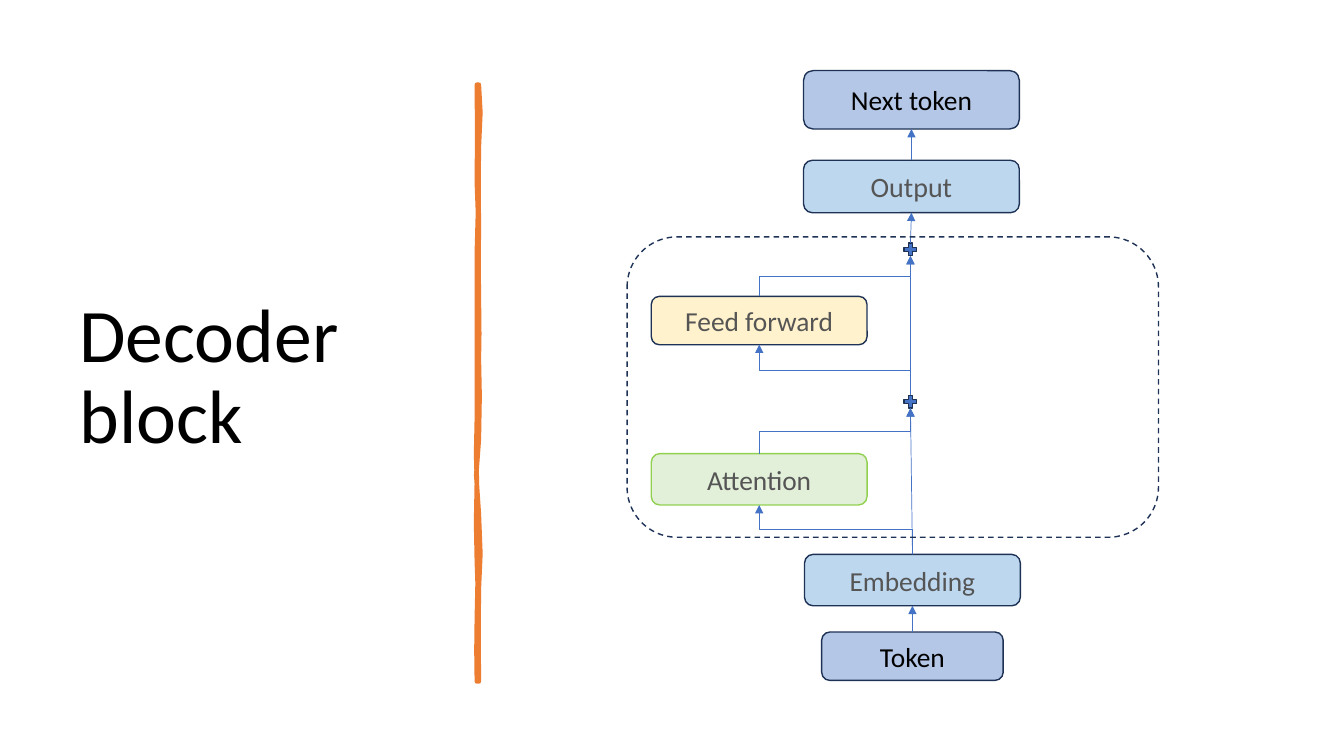
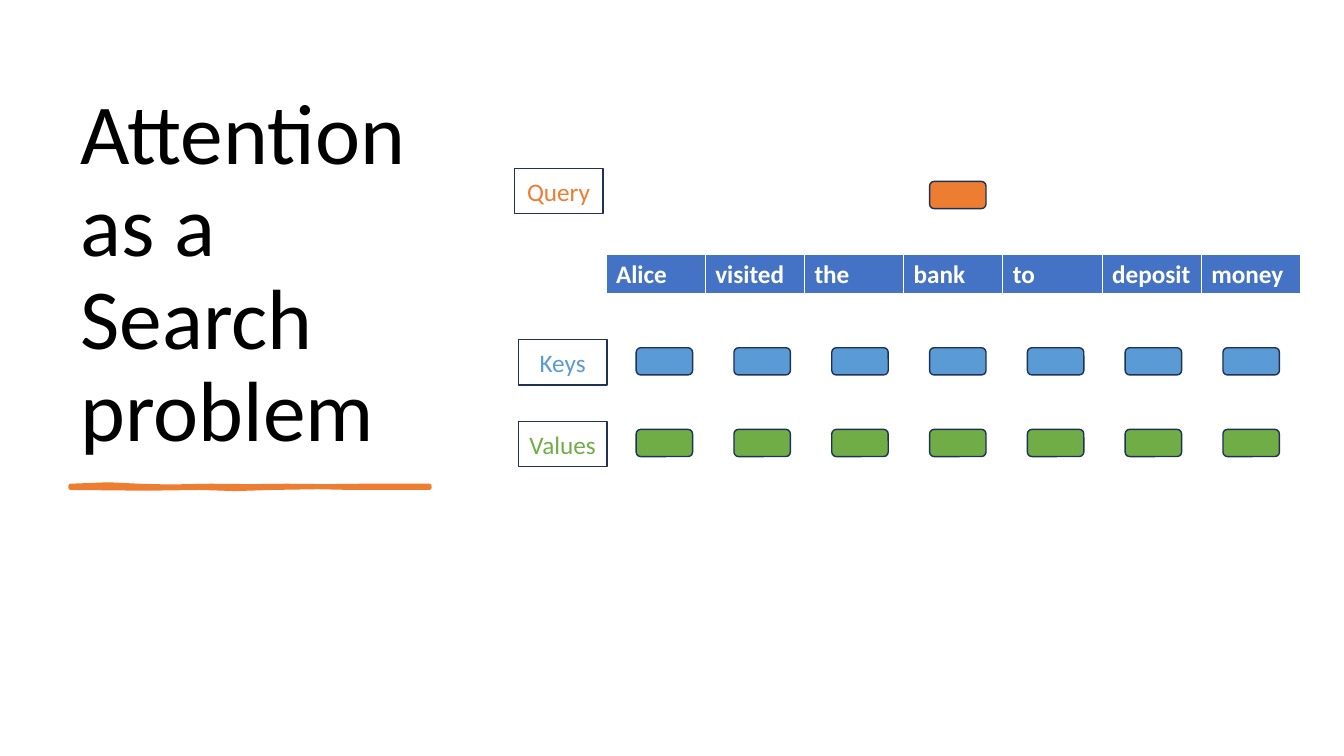
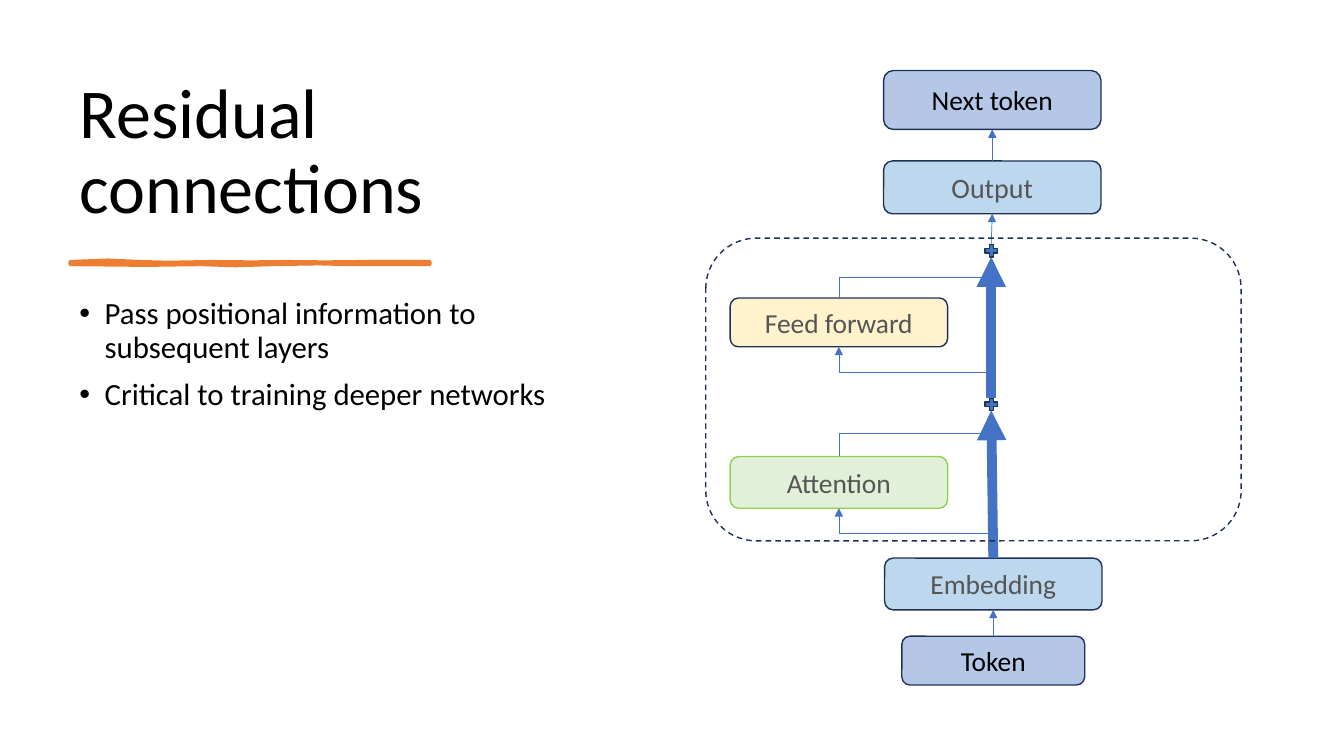
from lxml import etree
from pptx import Presentation
from pptx.dml.color import RGBColor
from pptx.enum.dml import MSO_LINE
from pptx.enum.shapes import MSO_CONNECTOR as LINK, MSO_SHAPE as SHAPE
from pptx.enum.text import MSO_ANCHOR as ANCHOR, PP_ALIGN as ALIGN
from pptx.oxml.ns import qn
from pptx.util import Inches, Pt

FONT = "Calibri"
BLACK, WHITE, GRAY, NAVY = "000000", "FFFFFF", "555555", "1E3256"
BLUE, SKY, ORANGE, GREEN = "4472C4", "5B9BD5", "ED7D31", "70AD47"
PERIWINKLE, PALE_BLUE = "B4C7E7", "BDD7EE"

INPUT, TRUNK, OUTPUT, BRANCH = 9.05, 9.03, 9.04, 7.53
BLOCK_LEFT, BLOCK_WIDTH, DIAGRAM_TOP = 6.22, 5.27, 0.7
BLOCK = (BLOCK_LEFT, 2.35, BLOCK_WIDTH, 2.98)
# name: centre, top, width, height, fill, outline, text colour, text size
LAYERS = {
    "Token": (INPUT, 6.27, 1.8, 0.48, PERIWINKLE, NAVY, BLACK, 19.6),
    "Embedding": (INPUT, 5.5, 2.14, 0.51, PALE_BLUE, NAVY, GRAY, 19.6),
    "Attention": (BRANCH, 4.5, 2.14, 0.51, "E2F0D9", "92D050", GRAY, 19.6),
    "Feed forward": (BRANCH, 2.94, 2.14, 0.48, "FFF2CC", NAVY, GRAY, 19.6),
    "Output": (OUTPUT, 1.59, 2.14, 0.52, PALE_BLUE, NAVY, GRAY, 20),
    "Next token": (OUTPUT, 0.7, 2.14, 0.58, PERIWINKLE, NAVY, BLACK, 19.6),
}
SUMS = {"attention sum": 3.9, "forward sum": 2.39}
SUM_SIZE, SUM_INSET = 0.17, 0.02
FLOWS = [
    ("Token", "Embedding"),
    ("Embedding", "attention sum"),
    ("Embedding", "Attention"),
    ("Attention", "attention sum"),
    ("attention sum", "forward sum"),
    ("attention sum", "Feed forward"),
    ("Feed forward", "forward sum"),
    ("forward sum", "Output"),
    ("Output", "Next token"),
]

WORDS = ["Alice", "visited", "the", "bank", "to", "deposit", "money"]
# name, colour, label left, label top, chip top, chip columns
SEARCH_ROWS = [
    ("Query", ORANGE, 5.1, 1.67, 1.8, [3]),
    ("Keys", SKY, 5.14, 3.37, 3.45, range(len(WORDS))),
    ("Values", GREEN, 5.14, 4.18, 4.26, range(len(WORDS))),
]
CHIP_LEFT, CHIP_STEP = 6.31, 0.97

BENEFITS = [
    "Pass positional information to subsequent layers",
    "Critical to training deeper networks",
]

# each brush curve: two control points and an end point, from the stroke corner
BRUSH_ACROSS = (0, 0), [
    (0.27, -0.02, 0.51, -0.02, 0.68, 0), (0.85, 0.02, 1.07, 0, 1.39, 0),
    (1.71, 0, 1.9, 0.01, 2.14, 0), (2.38, -0.01, 2.69, 0.02, 2.89, 0),
    (3.09, -0.01, 3.42, 0.01, 3.56, 0), (3.56, 0.01, 3.56, 0.02, 3.56, 0.02),
    (3.38, 0.03, 2.94, 0.01, 2.78, 0.02), (2.62, 0.03, 2.34, -0.01, 2, 0.02),
    (1.65, 0.05, 1.61, 0.02, 1.29, 0.02), (0.96, 0.02, 0.62, 0.04, 0, 0.02),
]
BRUSH_DOWN = (0.02, 0), [
    (0.04, 0.18, 0.04, 0.35, 0.02, 0.62), (0, 0.89, 0.03, 1.11, 0.02, 1.42),
    (0.01, 1.73, 0.02, 1.78, 0.02, 2.1), (0.01, 2.41, 0.04, 2.58, 0.02, 2.72),
    (0, 2.86, 0.06, 3.3, 0.02, 3.52), (-0.02, 3.73, -0.01, 4, 0.02, 4.26),
    (0.04, 4.52, 0.04, 4.8, 0.02, 5), (0, 5.19, 0.03, 5.66, 0.02, 5.92),
    (0.01, 5.92, 0, 5.92, 0, 5.92), (0.01, 5.62, -0.02, 5.6, 0, 5.29),
    (0.01, 4.99, 0.01, 4.86, 0, 4.73), (-0.01, 4.6, -0.01, 4.11, 0, 3.93),
    (0, 3.75, -0.02, 3.61, 0, 3.31), (0.01, 3.02, -0.01, 2.89, 0, 2.51),
    (0.01, 2.14, -0.01, 1.97, 0, 1.66), (0.01, 1.34, 0.02, 1.16, 0, 0.97),
    (-0.03, 0.79, 0.04, 0.2, 0, 0),
]


def color(value):
    return RGBColor.from_string(value)


def add_xml(parent, tag, **attributes):
    return etree.SubElement(parent, qn(tag), attributes)


def write(frame, lines, size=18, ink=BLACK, bold=False, align=ALIGN.LEFT,
          anchor=ANCHOR.TOP, spacing=None, before=0, after=0, bullet=None):
    frame.word_wrap = True
    frame.vertical_anchor = anchor
    for index, line in enumerate(lines):
        para = frame.add_paragraph() if index else frame.paragraphs[0]
        para.alignment = align
        para.line_spacing = spacing
        para.space_before = Pt(before if index else 0)
        para.space_after = Pt(after)
        if bullet:
            props = para._p.get_or_add_pPr()
            props.set("marL", str(Inches(0.25)))
            props.set("indent", str(-Inches(0.25)))
            add_xml(props, "a:buFont", typeface="Arial")
            add_xml(props, "a:buChar", char=bullet)
        span = para.add_run()
        span.text = line
        span.font.name, span.font.size, span.font.bold = FONT, Pt(size), bold
        span.font.color.rgb = color(ink)


def add_text(page, at, lines, **style):
    box = page.shapes.add_textbox(*map(Inches, at))
    write(box.text_frame, lines, spacing=0.9, **style)


def paint(shape, fill=None, outline=NAVY, width=1):
    shape.shadow.inherit = False
    if fill:
        shape.fill.solid()
        shape.fill.fore_color.rgb = color(fill)
    else:
        shape.fill.background()
    shape.line.color.rgb = color(outline)
    shape.line.width = Pt(width)


def add_box(page, kind, at, text=None, fill=None, outline=NAVY, **style):
    box = page.shapes.add_shape(kind, *map(Inches, at))
    paint(box, fill, outline)
    if text:
        write(box.text_frame, [text], align=ALIGN.CENTER, anchor=ANCHOR.MIDDLE, **style)
    return box


def add_brush(page, left, top, brush, width=3):
    start, curves = brush
    x0, y0 = start
    points = []
    for x1, y1, x2, y2, x3, y3 in curves:
        middle_x = (x0 + 3 * x1 + 3 * x2 + x3) / 8
        middle_y = (y0 + 3 * y1 + 3 * y2 + y3) / 8
        for x, y in ((middle_x, middle_y), (x3, y3)):
            points.append((Inches(left + x), Inches(top + y)))
        x0, y0 = x3, y3
    builder = page.shapes.build_freeform(Inches(left + start[0]), Inches(top + start[1]))
    builder.add_line_segments(points, close=True)
    paint(builder.convert_to_shape(), ORANGE, ORANGE, width)


def add_flow(page, nodes, source, target, trunk_width):
    tail, head = nodes[source], nodes[target]
    x1, y1 = tail.left + tail.width // 2, tail.top
    x2, y2 = head.left + head.width // 2, head.top + head.height
    if source in SUMS:
        y1 += Inches(SUM_INSET)
    if target in SUMS:
        y2 -= Inches(SUM_INSET)
    bent = abs(x2 - x1) > Inches(1)
    if bent:
        mid_x, mid_y = (x1 + x2) // 2, (y1 + y2) // 2
        rise, run = (y1 - y2) // 2, (x2 - x1) // 2
        link = page.shapes.add_connector(
            LINK.ELBOW, mid_x - rise, mid_y - run, mid_x + rise, mid_y + run)
        link.rotation = 270
    else:
        link = page.shapes.add_connector(LINK.STRAIGHT, x1, y1, x2, y2)
        if source not in SUMS:
            link.begin_connect(tail, 0)
        if target not in SUMS:
            link.end_connect(head, 2)
    link.line.color.rgb = color(BLUE)
    link.line.width = Pt(trunk_width if target in SUMS and not bent else 0.5)
    props = link._element.spPr
    add_xml(props.find(qn("a:ln")), "a:tailEnd", type="triangle")
    add_xml(props, "a:effectLst")


def add_decoder(page, left=BLOCK_LEFT, width=BLOCK_WIDTH, trunk_width=0.5):
    scale = width / BLOCK_WIDTH

    def place(x, y, across, down):
        return (left + (x - BLOCK_LEFT) * scale,
                DIAGRAM_TOP + (y - DIAGRAM_TOP) * scale,
                across * scale, down * scale)

    nodes = {}
    for name, (center, top, across, down, fill, outline, ink, size) in LAYERS.items():
        nodes[name] = add_box(
            page, SHAPE.ROUNDED_RECTANGLE, place(center - across / 2, top, across, down),
            name, fill, outline, ink=ink, size=size, after=5.9)
    for name, top in SUMS.items():
        at = place(TRUNK - SUM_SIZE / 2, top, SUM_SIZE, SUM_SIZE)
        nodes[name] = add_box(page, SHAPE.MATH_PLUS, at, fill=BLUE)
    for source, target in FLOWS:
        add_flow(page, nodes, source, target, trunk_width)
    block = add_box(page, SHAPE.ROUNDED_RECTANGLE, place(*BLOCK))
    block.line.dash_style = MSO_LINE.DASH


def add_words(page):
    frame = page.shapes.add_table(
        1, len(WORDS), Inches(6.01), Inches(2.52), Inches(6.89), Inches(0.41))
    for cell, word in zip(frame.table.rows[0].cells, WORDS):
        write(cell.text_frame, [word], ink=WHITE, bold=True)
        props = cell._tc.get_or_add_tcPr()
        for side, width in (("L", 1), ("R", 1), ("T", 1), ("B", 3)):
            edge = add_xml(props, f"a:ln{side}", w=str(Pt(width)))
            add_xml(add_xml(edge, "a:solidFill"), "a:srgbClr", val=WHITE)
        cell.fill.solid()
        cell.fill.fore_color.rgb = color(BLUE)


def decoder_slide(page):
    add_text(page, (0.69, 0.7, 3.74, 6.11), ["Decoder block"], size=54, anchor=ANCHOR.MIDDLE)
    add_brush(page, 4.73, 0.84, BRUSH_DOWN, 3.25)
    add_decoder(page)


def search_slide(page):
    add_text(page, (0.7, 0.7, 3.91, 3.91), ["Attention as a Search problem"],
             size=61, anchor=ANCHOR.BOTTOM)
    add_brush(page, 0.7, 4.82, BRUSH_ACROSS)
    add_words(page)
    for name, ink, left, top, chip_top, columns in SEARCH_ROWS:
        add_box(page, SHAPE.RECTANGLE, (left, top, 0.88, 0.45), name, ink=ink)
        for column in columns:
            at = (CHIP_LEFT + column * CHIP_STEP, chip_top, 0.56, 0.27)
            add_box(page, SHAPE.ROUNDED_RECTANGLE, at, fill=ink)


def residual_slide(page):
    add_text(page, (0.69, 0.7, 5.27, 1.62), ["Residual connections"],
             size=50, anchor=ANCHOR.BOTTOM)
    add_brush(page, 0.7, 2.6, BRUSH_ACROSS)
    add_text(page, (0.69, 2.91, 5.27, 3.88), BENEFITS, size=22, before=10, bullet="•")
    add_decoder(page, left=7, width=5.31, trunk_width=7)


def main():
    deck = Presentation()
    deck.slide_width, deck.slide_height = Inches(13.33), Inches(7.5)
    for build in (decoder_slide, search_slide, residual_slide):
        build(deck.slides.add_slide(deck.slide_layouts[6]))
    deck.save("out.pptx")


if __name__ == "__main__":
    main()
